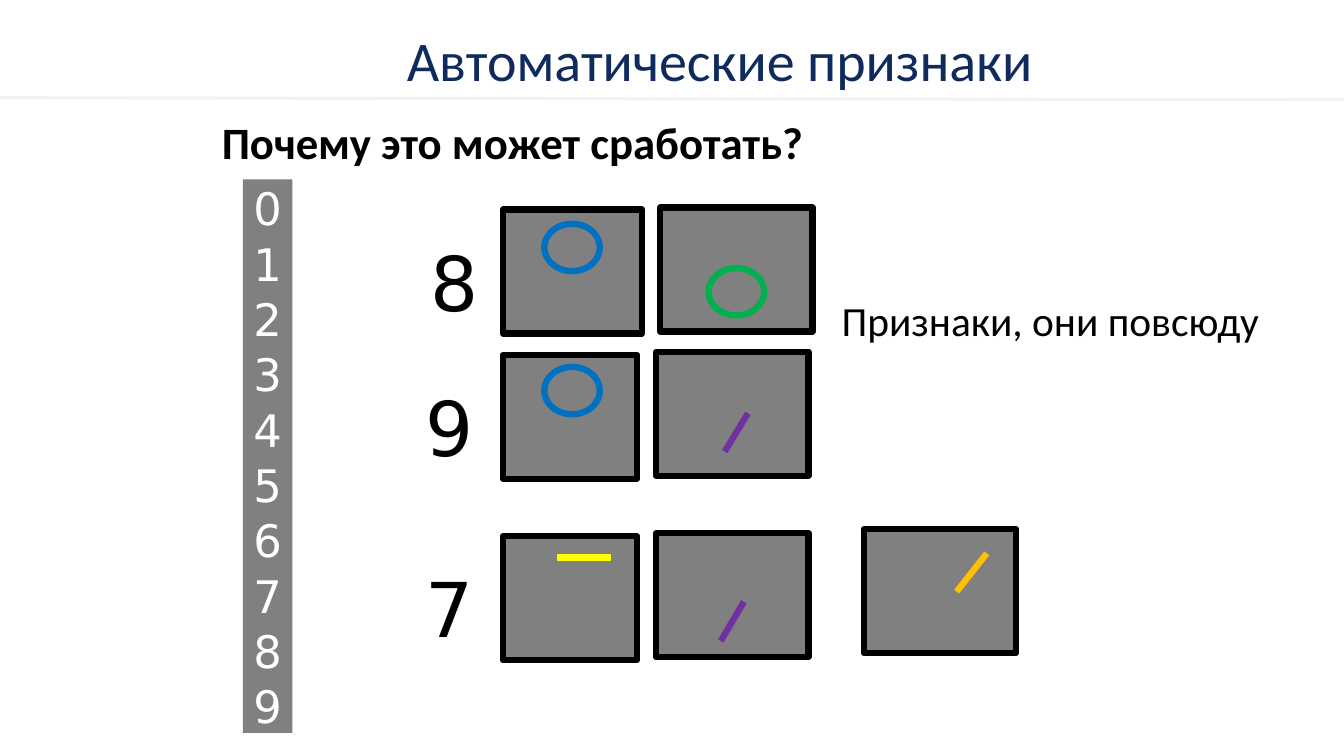
from dataclasses import dataclass

from lxml import etree
from pptx import Presentation
from pptx import util as u
from pptx.dml.color import RGBColor
from pptx.enum import shapes, text


@dataclass(frozen=True)
class Theme:
    """Hold the fonts, type sizes, line widths and colours."""
    body: str = "Calibri"
    digits: str = "DejaVu Sans"
    heading_size: float = 40
    title_size: float = 32
    digit_size: float = 54
    note_size: float = 29.6
    stroke: float = 4.5
    rule: float = 2.25
    navy: str = "0F2B5E"
    black: str = "000000"
    white: str = "FFFFFF"
    gray: str = "808080"
    pale: str = "F2F2F2"
    blue: str = "0070C0"
    green: str = "00B050"
    purple: str = "7030A0"
    yellow: str = "FFFF00"
    orange: str = "FFC000"


THEME = Theme()
CELL = u.Inches(0.1)
COLUMNS, ROWS = 133.33, 75


def cells(*counts):
    """Turn counts of grid cells into lengths."""
    return [u.Emu(round(count * CELL)) for count in counts]


def write(box, lines, *, size, color, font=THEME.body, bold=False, wrap=True,
          align=text.PP_ALIGN.LEFT, anchor=text.MSO_ANCHOR.MIDDLE, spacing=1.0):
    """Fill a box with paragraphs in one format."""
    frame = box.text_frame
    frame.word_wrap = wrap
    frame.auto_size = text.MSO_AUTO_SIZE.NONE
    frame.vertical_anchor = anchor
    for index, line in enumerate(lines):
        para = frame.add_paragraph() if index else frame.paragraphs[0]
        para.alignment = align
        para.line_spacing = spacing
        span = para.add_run()
        span.text = line
        span.font.name = font
        span.font.size = u.Pt(size)
        span.font.bold = bold
        span.font.color.rgb = RGBColor.from_string(color)


def add_text(page, area, line, **style):
    """Add a text box over an area of the grid."""
    write(page.shapes.add_textbox(*cells(*area)), [line], **style)


def add_figure(page, kind, area, *, fill=None, line=None):
    """Add a flat preset shape."""
    figure = page.shapes.add_shape(kind, *cells(*area))
    figure.shadow.inherit = False
    if fill:
        figure.fill.solid()
        figure.fill.fore_color.rgb = RGBColor.from_string(fill)
    else:
        figure.fill.background()
    if line:
        figure.line.color.rgb = RGBColor.from_string(line)
        figure.line.width = u.Pt(THEME.stroke)
    else:
        figure.line.fill.background()
    return figure


def add_card(page, left, top, width):
    """Add a gray framed card."""
    add_figure(page, shapes.MSO_SHAPE.RECTANGLE, (left, top, width, 12.3),
               fill=THEME.gray, line=THEME.black)


def add_ring(page, left, top, color):
    """Add a loop feature."""
    add_figure(page, shapes.MSO_SHAPE.OVAL, (left, top, 5.5, 4.7), line=color)


def add_stroke(page, ends, color, width=THEME.stroke):
    """Add a straight line between two grid points."""
    stroke = page.shapes.add_connector(shapes.MSO_CONNECTOR.STRAIGHT, *cells(*ends))
    stroke.line.color.rgb = RGBColor.from_string(color)
    stroke.line.width = u.Pt(width)
    properties = stroke.element.spPr
    etree.SubElement(properties, properties.getparent().nsmap["a"].join("{}") + "effectLst")


def add_digit_row(page, digit, left, top, cards):
    """Add a large digit and the cards of its features."""
    add_text(page, (left, top, 6.8, 10.1), digit, size=THEME.digit_size,
             color=THEME.black, font=THEME.digits, wrap=False,
             align=text.PP_ALIGN.CENTER, anchor=text.MSO_ANCHOR.TOP)
    for card_left, rise, width in cards:
        add_card(page, card_left, top - rise, width)


def add_digit_strip(page):
    """Add the strip that lists all ten digits."""
    strip = add_figure(page, shapes.MSO_SHAPE.RECTANGLE, (24.1, 17.8, 4.9, 54.9),
                       fill=THEME.gray)
    write(strip, [str(digit) for digit in range(10)], size=THEME.title_size,
          color=THEME.white, font=THEME.digits, wrap=False,
          align=text.PP_ALIGN.CENTER, spacing=1.03)


def add_headings(page):
    """Add the heading, its rule, the slide title and the side note."""
    title = page.shapes.title
    title.left, title.top, title.width, title.height = cells(21, 9.8, 86.6, 9.1)
    write(title, ["Почему это может сработать?"], size=THEME.title_size,
          color=THEME.black, bold=True, spacing=0.9)
    add_stroke(page, (0, 9.7, COLUMNS, 9.9), THEME.pale, THEME.rule)
    add_text(page, (15.5, 4.4, 111.8, 3), "Автоматические признаки",
             size=THEME.heading_size, color=THEME.navy, align=text.PP_ALIGN.CENTER)
    add_text(page, (82.5, 27.6, 46.5, 9.1), "Признаки, они повсюду",
             size=THEME.note_size, color=THEME.black, spacing=0.8)


def main():
    """Build and save the slide."""
    deck = Presentation()
    deck.slide_width, deck.slide_height = cells(COLUMNS, ROWS)
    page = deck.slides.add_slide(deck.slide_layouts.get_by_name("Title Only"))
    add_headings(page)
    add_digit_strip(page)

    pair = [(49.9, 2.1, 13.3), (65.1, 2.4, 15.1)]
    add_digit_row(page, "8", 41.7, 22.9, [(49.9, 2.1, 13.8), (65.5, 2.3, 15.1)])
    add_digit_row(page, "9", 41.2, 37.3, pair)
    add_digit_row(page, "7", 41.2, 55.3, pair + [(85.7, 2.8, 15.1)])

    for left, top, color in [(54, 22.2, THEME.blue), (70.3, 26.6, THEME.green),
                             (54, 36.4, THEME.blue)]:
        add_ring(page, left, top, color)
    for ends, color in [((74.2, 41, 71.9, 44.8), THEME.purple),
                        ((73.8, 59.7, 71.5, 63.6), THEME.purple),
                        ((60.6, 55.3, 55.3, 55.3), THEME.yellow),
                        ((97.9, 54.9, 94.9, 58.7), THEME.orange)]:
        add_stroke(page, ends, color)
    deck.save("out.pptx")


if __name__ == "__main__":
    main()
